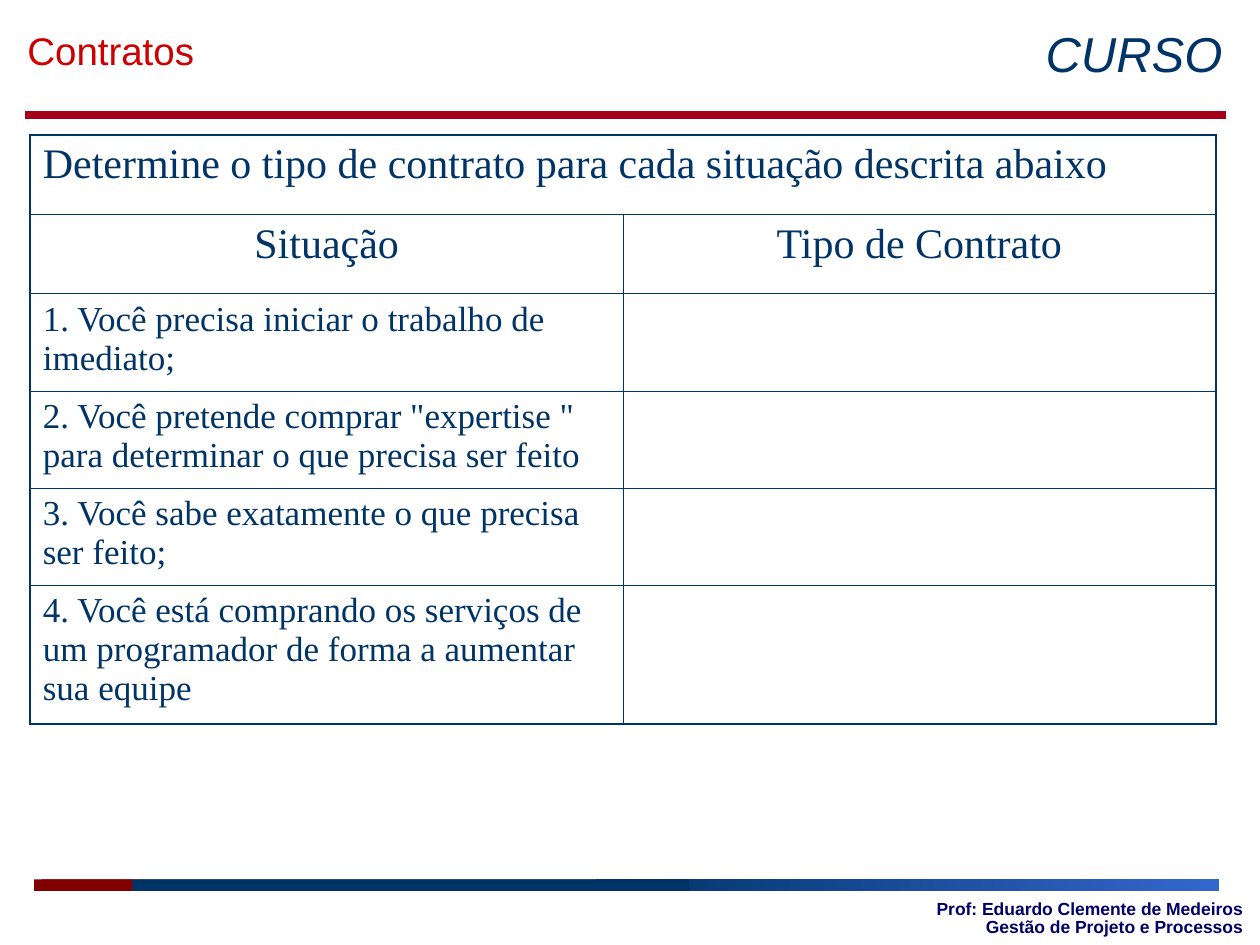
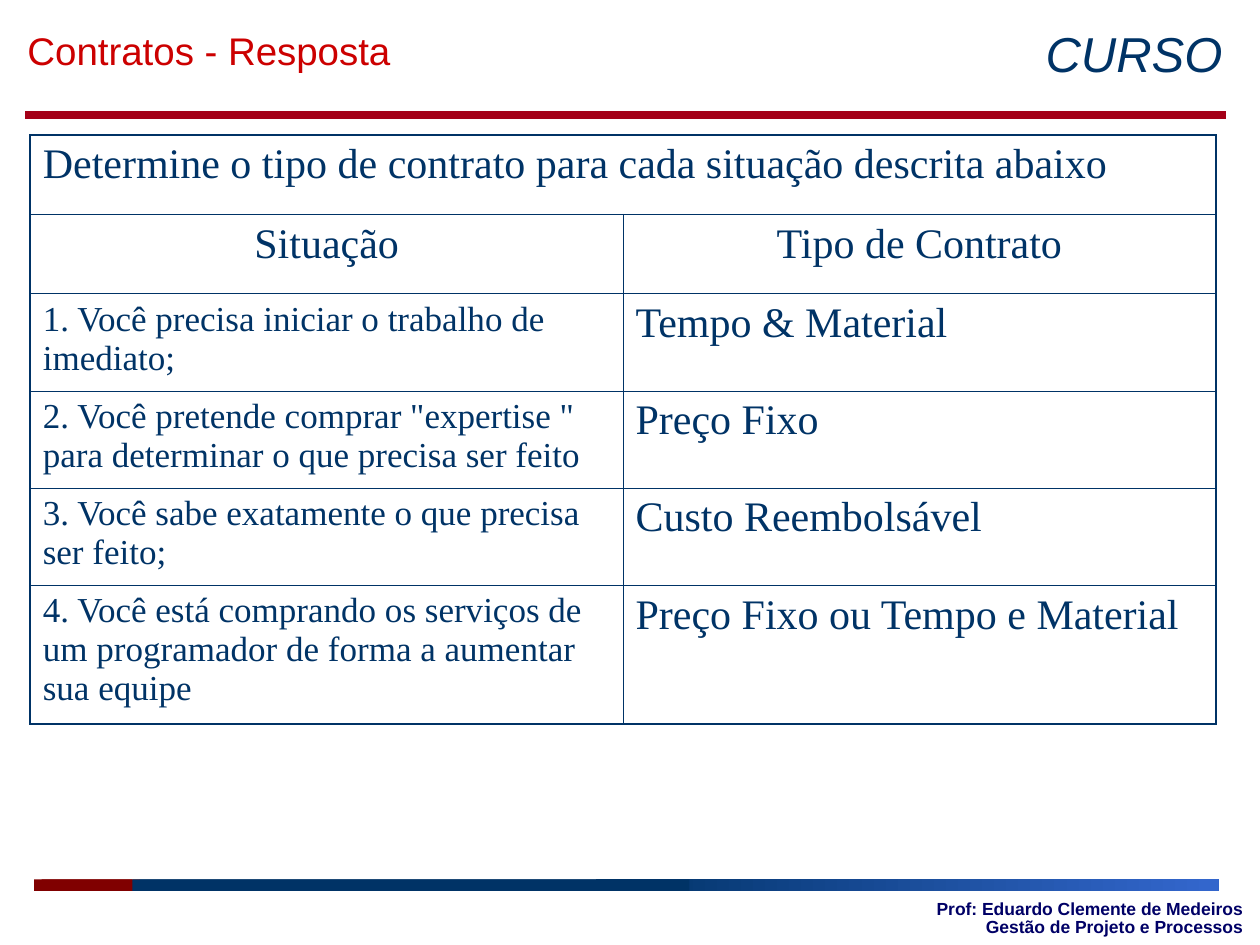
"""Build two slides on contract types: the exercise and its answers."""
from lxml import etree
from pptx import Presentation
from pptx import util as u
from pptx.dml.color import RGBColor
from pptx.enum import shapes, text
from pptx.oxml.ns import qn

NAVY, RED, CRIMSON, MAROON, BLUE, INDIGO = (
    "003366", "CC0000", "A40018", "800000", "3366CC", "000066")
LEFT, CENTER, RIGHT = text.PP_ALIGN.LEFT, text.PP_ALIGN.CENTER, text.PP_ALIGN.RIGHT


def color(code):
    """Turn a hex string into a colour."""
    return RGBColor.from_string(code)


def write(frame, words, size, ink=NAVY, font="Arial", align=LEFT, before=0,
          spacing=1.0, bold=False, italic=False):
    """Put one formatted paragraph into a text frame."""
    frame.word_wrap = True
    para = frame.paragraphs[0]
    para.alignment = align
    para.space_before = u.Pt(before)
    para.line_spacing = spacing
    span = para.add_run()
    span.text = words
    span.font.name = font
    span.font.size = u.Pt(size)
    span.font.bold = bold
    span.font.italic = italic
    span.font.color.rgb = color(ink)


HEADING = "Determine o tipo de contrato para cada situação descrita abaixo"
COLUMN_NAMES = ["Situação", "Tipo de Contrato"]
SITUATIONS = [
    "1. Você precisa iniciar o trabalho de imediato;",
    '2. Você pretende comprar "expertise " para determinar o que precisa ser feito',
    "3. Você sabe exatamente o que precisa ser feito;",
    "4. Você está comprando os serviços de um programador de forma a aumentar sua equipe",
]
ANSWERS = ["Tempo & Material", "Preço Fixo", "Custo Reembolsável",
           "Preço Fixo ou Tempo e Material"]
CONTENTS = {"Contratos": [""] * len(SITUATIONS), "Contratos - Resposta": ANSWERS}
ROW_HEIGHTS = [1.6, 1.6, 1.96, 1.96, 1.96, 2.79]

deck = Presentation()
deck.slide_width, deck.slide_height = u.Cm(25.4), u.Cm(19.05)
layout = deck.slide_layouts.get_by_name("Title Only")
pages = [deck.slides.add_slide(layout) for _ in CONTENTS]

canvas = pages[0].shapes
shared = []
for band_left in (0.84, 0.69):
    band = canvas.add_group_shape()
    for offset, width, fills in [(0, 1.98, [MAROON]), (11.33, 12.4, [NAVY, BLUE]),
                                 (1.98, 11.23, [NAVY])]:
        bar = band.shapes.add_shape(
            shapes.MSO_SHAPE.RECTANGLE, u.Cm(band_left + offset), u.Cm(17.73),
            u.Cm(width), u.Cm(0.23))
        bar.shadow.inherit = False
        bar.line.fill.background()
        if len(fills) == 1:
            bar.fill.solid()
            bar.fill.fore_color.rgb = color(fills[0])
        else:
            bar.fill.gradient()
            bar.fill.gradient_angle = 0
            for stop, code in zip(bar.fill.gradient_stops, fills):
                stop.color.rgb = color(code)
    shared.append(band)

rule = canvas.add_connector(shapes.MSO_CONNECTOR.STRAIGHT, u.Cm(0.51), u.Cm(2.32),
                            u.Cm(24.71), u.Cm(2.32))
rule.line.color.rgb = color(CRIMSON)
rule.line.width = u.Pt(4.5)
etree.SubElement(rule.element.spPr, qn("a:effectLst"))
shared.append(rule)

school = canvas.add_textbox(u.Cm(20.09), u.Cm(0.53), u.Cm(4.8), u.Cm(1.27))
write(school.text_frame, "CURSO", 28, align=RIGHT, before=17.5, spacing=0.85, italic=True)
school.text_frame.auto_size = text.MSO_AUTO_SIZE.SHAPE_TO_FIT_TEXT
footer = canvas.add_textbox(u.Cm(17.91), u.Cm(18.14), u.Cm(7.39), u.Cm(0.79))
write(footer.text_frame, "Prof: Eduardo Clemente de Medeiros Gestão de Projeto e Processos",
      10, ink=INDIGO, align=RIGHT, spacing=0.85, bold=True)
footer.text_frame.vertical_anchor = text.MSO_ANCHOR.MIDDLE
shared += [school, footer]

for shape in shared:
    layout.shapes.element.append(shape.element)
for number, props in enumerate(layout.shapes.element.iter(qn("p:cNvPr")), start=1):
    props.set("id", str(number))

for page, (heading, answers) in zip(pages, CONTENTS.items()):
    title = page.shapes.title
    title.left, title.top = u.Cm(0.3), u.Cm(0.41)
    title.width, title.height = u.Cm(18.59), u.Cm(1.19)
    write(title.text_frame, heading, 22, ink=RED, before=13.8)
    title.text_frame.vertical_anchor = text.MSO_ANCHOR.TOP
    title.text_frame.auto_size = text.MSO_AUTO_SIZE.SHAPE_TO_FIT_TEXT

    rows = [[HEADING, ""], COLUMN_NAMES, *zip(SITUATIONS, answers)]
    last = len(rows) - 1
    table = page.shapes.add_table(len(rows), 2, u.Cm(0.61), u.Cm(2.72), u.Cm(23.9),
                                  u.Cm(sum(ROW_HEIGHTS))).table
    table.first_row = table.horz_banding = False
    for column in table.columns:
        column.width = u.Cm(11.95)
    table.cell(0, 0).merge(table.cell(0, 1))
    for r, row in enumerate(rows):
        table.rows[r].height = u.Cm(ROW_HEIGHTS[r])
        for c, words in enumerate(row):
            cell = table.cell(r, c)
            outer = {"lnL": c == 0, "lnR": c == 1 or r == 0, "lnT": r == 0, "lnB": r == last}
            cell_props = cell._tc.get_or_add_tcPr()
            for side, is_outer in outer.items():
                edge = etree.SubElement(cell_props, qn("a:" + side),
                                        w=str(u.Pt(1.08 if is_outer else 0.45)))
                paint = etree.SubElement(edge, qn("a:solidFill"))
                etree.SubElement(paint, qn("a:srgbClr"), val=NAVY)
            cell.fill.background()
            if words:
                is_situation = r > 1 and c == 0
                write(cell.text_frame, words, 20 if is_situation else 24,
                      font="Times New Roman", align=CENTER if r == 1 else LEFT,
                      before=5 if is_situation else 6)

deck.save("out.pptx")
